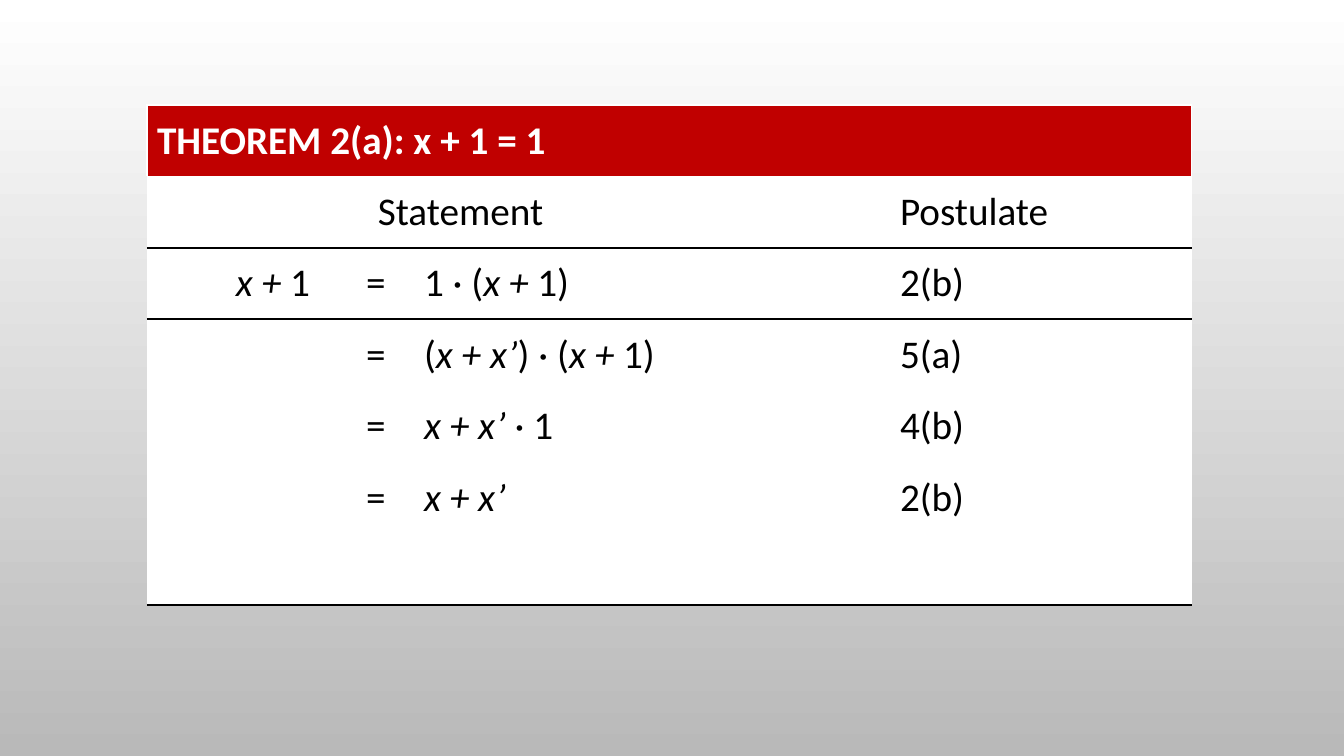
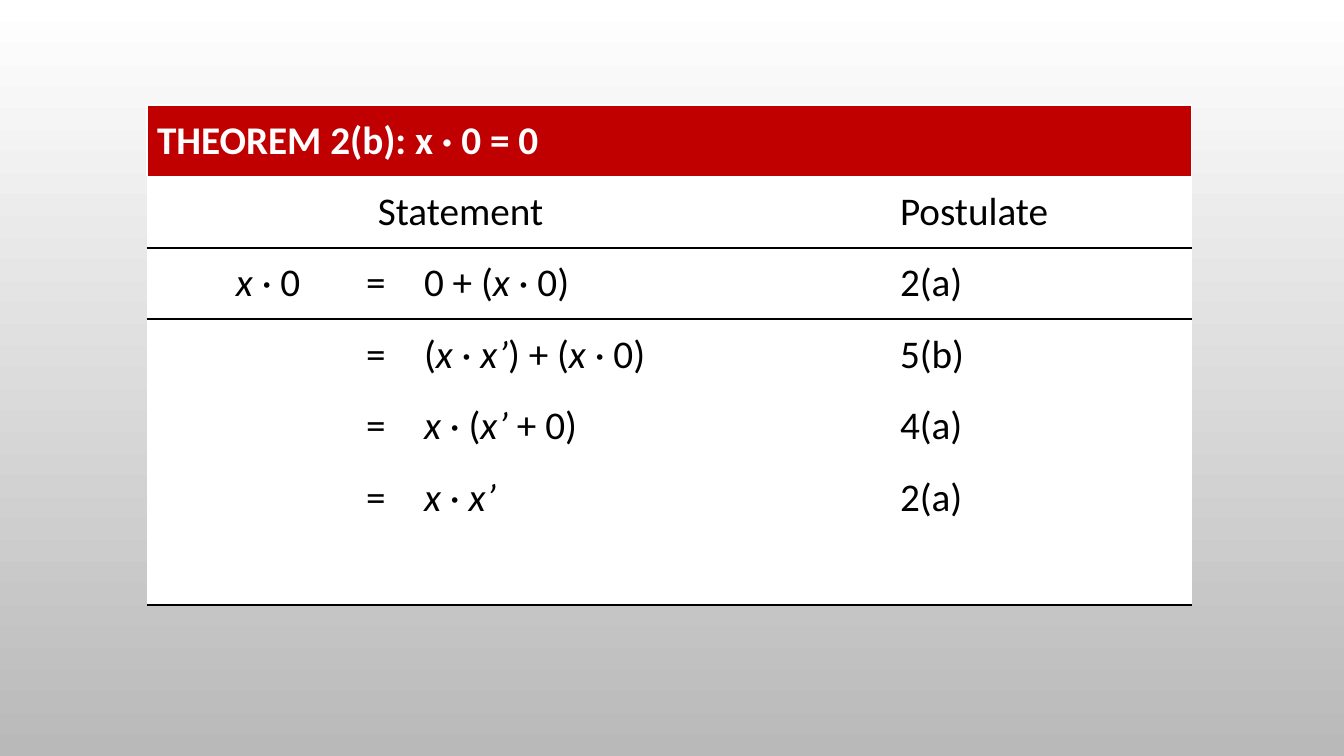
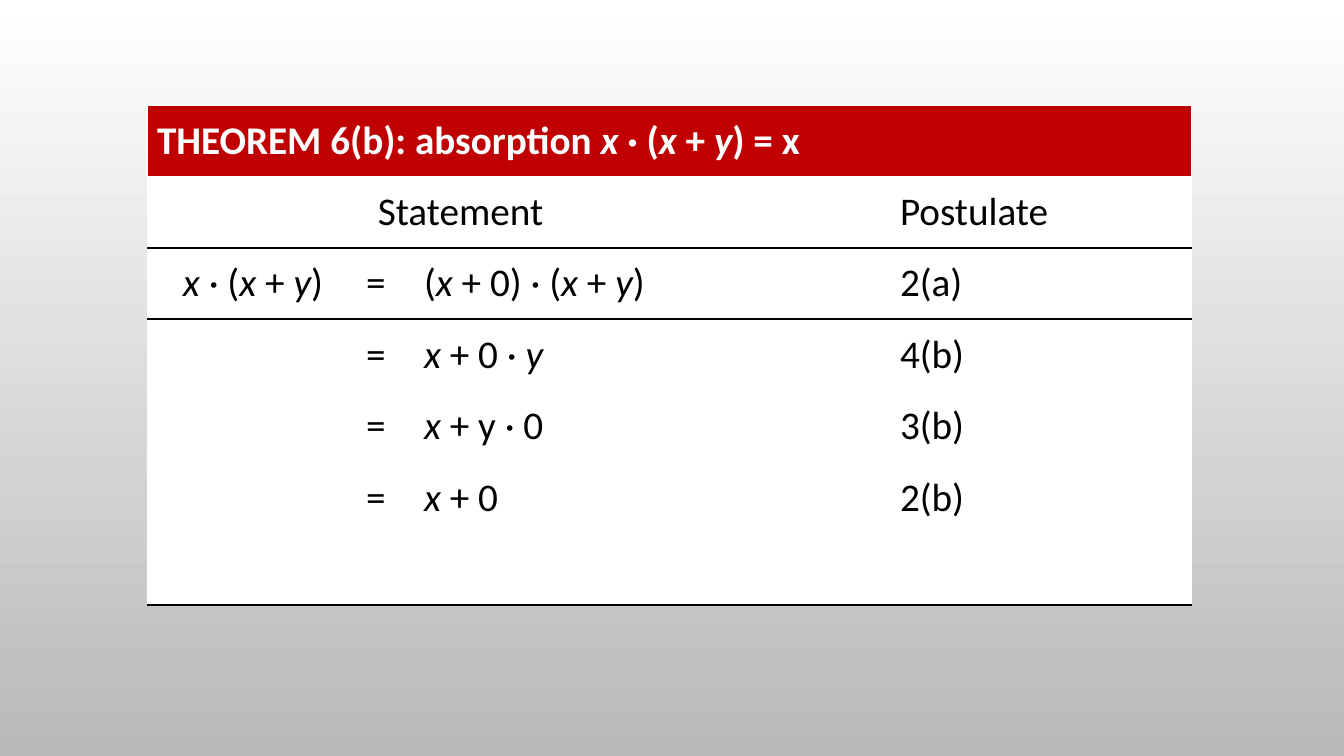
import pptx
import pptx.util
import pptx.dml.color
import pptx.enum.text
import pptx.oxml.ns
import lxml.etree

RGB = pptx.dml.color.RGBColor
RED = RGB(0xC0, 0x00, 0x00)
WHITE = RGB(0xFF, 0xFF, 0xFF)
GREY = RGB(0xB9, 0xB9, 0xB9)
BLACK = RGB(0x00, 0x00, 0x00)
ALIGN = pptx.enum.text.PP_ALIGN
MIDDLE = pptx.enum.text.MSO_ANCHOR.MIDDLE
NO_STYLE = "{2D5ABB26-0587-4C30-8999-92F81FD0307C}"
EMU_PER_PX = 914400 / 100.8


def px(n):
    return pptx.util.Emu(round(n * EMU_PER_PX))


class Deck:
    font = dict(size=pptx.util.Pt(28), name="Calibri")
    columns = [209, 58, 360, 116, 302]
    left, top, height, rows = 147, 105, 500, 7

    def __init__(self):
        self.prs = pptx.Presentation()
        self.prs.slide_width, self.prs.slide_height = px(1344), px(756)
        fill = self.prs.slide_master.background.fill
        fill.gradient()
        fill.gradient_angle = 270
        for stop, color in zip(fill.gradient_stops, (WHITE, GREY)):
            stop.color.rgb = color

    def slide(self):
        self.s = self.prs.slides.add_slide(self.prs.slide_layouts[6])

    def borders(self, cell, sides, color, width):
        tcPr = cell._tc.get_or_add_tcPr()
        for side in sides:
            ln = lxml.etree.SubElement(tcPr, pptx.oxml.ns.qn(f"a:ln{side}"),
                                       w=str(pptx.util.Pt(width)))
            solid = lxml.etree.SubElement(ln, pptx.oxml.ns.qn("a:solidFill"))
            lxml.etree.SubElement(solid, pptx.oxml.ns.qn("a:srgbClr"), val=str(color))

    def text(self, cell, markup, color=BLACK, bold=False, align=ALIGN.LEFT):
        p = cell.text_frame.paragraphs[0]
        p.alignment = align
        for i, part in enumerate(markup.split("*")):
            if part:
                r = p.add_run()
                r.text = part
                for key, value in dict(self.font, bold=bold, italic=i % 2 == 1).items():
                    setattr(r.font, key, value)
                r.font.color.rgb = color

    def table(self):
        frame = self.s.shapes.add_table(self.rows, len(self.columns), px(self.left), px(self.top),
                                        px(sum(self.columns)), px(self.height))
        table = frame.table
        table._tbl.tblPr[0].text = NO_STYLE
        table.first_row = table.horz_banding = False
        for column, width in zip(table.columns, self.columns):
            column.width = px(width)
        for i, row in enumerate(table.rows):
            row.height = px(self.height / self.rows)
            for cell in row.cells:
                cell.vertical_anchor = MIDDLE
                if i == 0:
                    self.borders(cell, "LRT", WHITE, 1)
                if i == 2:
                    self.borders(cell, "T", BLACK, 1.5)
                if i in (1, self.rows - 1):
                    self.borders(cell, "B", BLACK, 1.5)
                cell.fill.solid()
                cell.fill.fore_color.rgb = WHITE if i else RED
        return table

    def proof(self, title, start, indent, steps):
        table = self.table()
        table.cell(0, 0).merge(table.cell(0, 4))
        table.cell(1, 0).merge(table.cell(1, 2))
        self.text(table.cell(0, 0), title, WHITE, True)
        self.text(table.cell(1, 0), "Statement", align=ALIGN.CENTER)
        self.text(table.cell(1, 4), "Postulate")
        table.cell(2, 0).margin_left = px(indent)
        self.text(table.cell(2, 0), start)
        for row, (result, postulate) in enumerate(steps, 2):
            for column, markup in ((1, "="), (2, result), (4, postulate)):
                self.text(table.cell(row, column), markup)


PROOFS = [
    ("THEOREM 2(a): x + 1 = 1", "*x + *1", 89, [
        ("1 · (*x + *1)", "2(b)"),
        ("(*x + x’*) · (*x +* 1)", "5(a)"),
        ("*x + x’ *· 1", "4(b)"),
        ("*x + x’*", "2(b)"),
    ]),
    ("THEOREM 2(b): x · 0 = 0", "*x *· 0", 89, [
        ("0 + (*x *· 0)", "2(a)"),
        ("(*x *·* x’*) + (*x *· 0)", "5(b)"),
        ("*x *· (*x’ *+ 0)", "4(a)"),
        ("*x *·* x’*", "2(a)"),
    ]),
    ("THEOREM 6(b): absorption *x *· (*x *+ *y*) = x", "*x *· (*x *+ *y*)", 36, [
        ("(*x *+ 0) · (*x *+ *y*)", "2(a)"),
        ("*x *+ 0 · *y*", "4(b)"),
        ("*x *+ y · 0", "3(b)"),
        ("*x *+ 0", "2(b)"),
    ]),
]


def main():
    deck = Deck()
    for proof in PROOFS:
        deck.slide()
        deck.proof(*proof)
    deck.prs.save("out.pptx")


if __name__ == "__main__":
    main()
